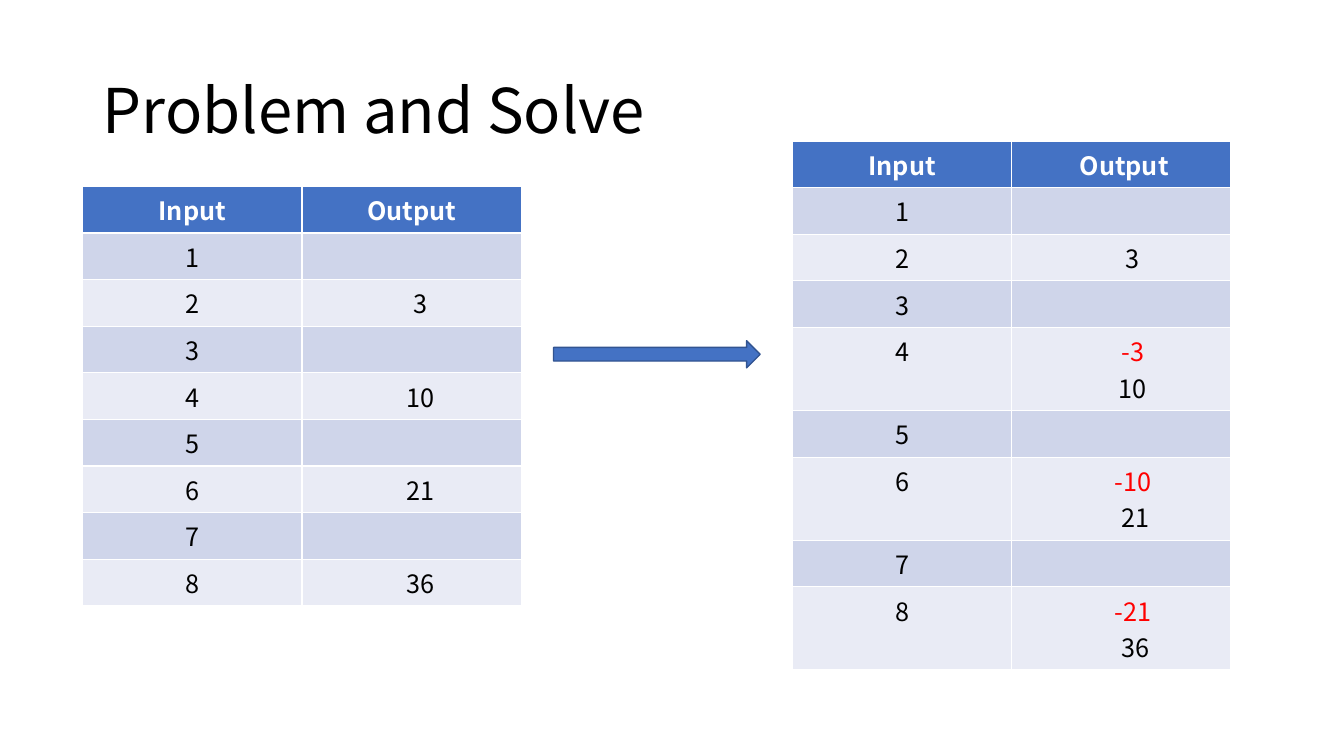
from pptx import Presentation
from pptx.dml.color import RGBColor
from pptx.enum.shapes import MSO_SHAPE
from pptx.enum.text import MSO_ANCHOR, MSO_AUTO_SIZE, PP_ALIGN
from pptx.util import Inches, Pt

FONT = "Noto Sans CJK SC"
BLUE, DARK, LIGHT = "4472C4", "CFD5EA", "E9EBF5"
STEP = 0.056


def color(value):
    return RGBColor.from_string(value)


def write(para, text, size, tint, bold, align, shift=0):
    """Fill a paragraph; shift is its left indent in inches."""
    para.text = text
    para.alignment = align
    if shift:
        para._p.get_or_add_pPr().set("marL", str(Inches(shift)))
    look = {"name": FONT, "size": Pt(size), "bold": bold}
    for key, value in look.items():
        setattr(para.font, key, value)
    para.font.color.rgb = color(tint)


deck = Presentation()
deck.slide_width, deck.slide_height = Inches(13.33), Inches(7.5)
slide = deck.slides.add_slide(deck.slide_layouts[5])

title = slide.shapes.title
place = {"left": 0.92, "top": 0.4, "width": 11.5, "height": 1.45}
for key, value in place.items():
    setattr(title, key, Inches(value))
frame = title.text_frame
frame.auto_size = MSO_AUTO_SIZE.NONE
frame.vertical_anchor = MSO_ANCHOR.MIDDLE
write(frame.paragraphs[0], "Problem and Solve", 44, "000000", False, PP_ALIGN.LEFT)
frame.paragraphs[0].line_spacing = 0.9

# Each output line is a text and its indent in steps; keys are the inputs.
before = {2: [("3", 3)], 4: [("10", 3)], 6: [("21", 3)], 8: [("36", 3)]}
after = {
    2: [("3", 4)],
    4: [("-3", 4), ("10", 4)],
    6: [("-10", 4), ("21", 5)],
    8: [("-21", 4), ("36", 5)],
}

for left, top, head, data in ((0.82, 1.85, 0, before), (7.86, 1.4, 1, after)):
    grid = slide.shapes.add_table(
        9, 2, Inches(left), Inches(top), Inches(4.35), Inches(9 * 0.39)
    ).table
    for row in range(9):
        if row == 0:
            cells = [[("Input", 0)], [("Output", head)]]
            fill = BLUE
        else:
            cells = [[(str(row), 0)], data.get(row, [])]
            fill = DARK if row % 2 else LIGHT
        for col, lines in enumerate(cells):
            cell = grid.cell(row, col)
            cell.fill.solid()
            cell.fill.fore_color.rgb = color(fill)
            body = cell.text_frame
            for index, (text, steps) in enumerate(lines):
                para = body.add_paragraph() if index else body.paragraphs[0]
                tint = "FF0000" if text.startswith("-") else "000000"
                if row == 0:
                    tint = "FFFFFF"
                write(para, text, 18, tint, row == 0, PP_ALIGN.CENTER, steps * STEP)

arrow = slide.shapes.add_shape(
    MSO_SHAPE.RIGHT_ARROW, Inches(5.49), Inches(3.38), Inches(2.05), Inches(0.27)
)
arrow.shadow.inherit = False
arrow.fill.solid()
arrow.fill.fore_color.rgb = color(BLUE)
arrow.line.color.rgb = color("325491")
arrow.line.width = Pt(1)

deck.save("out.pptx")
